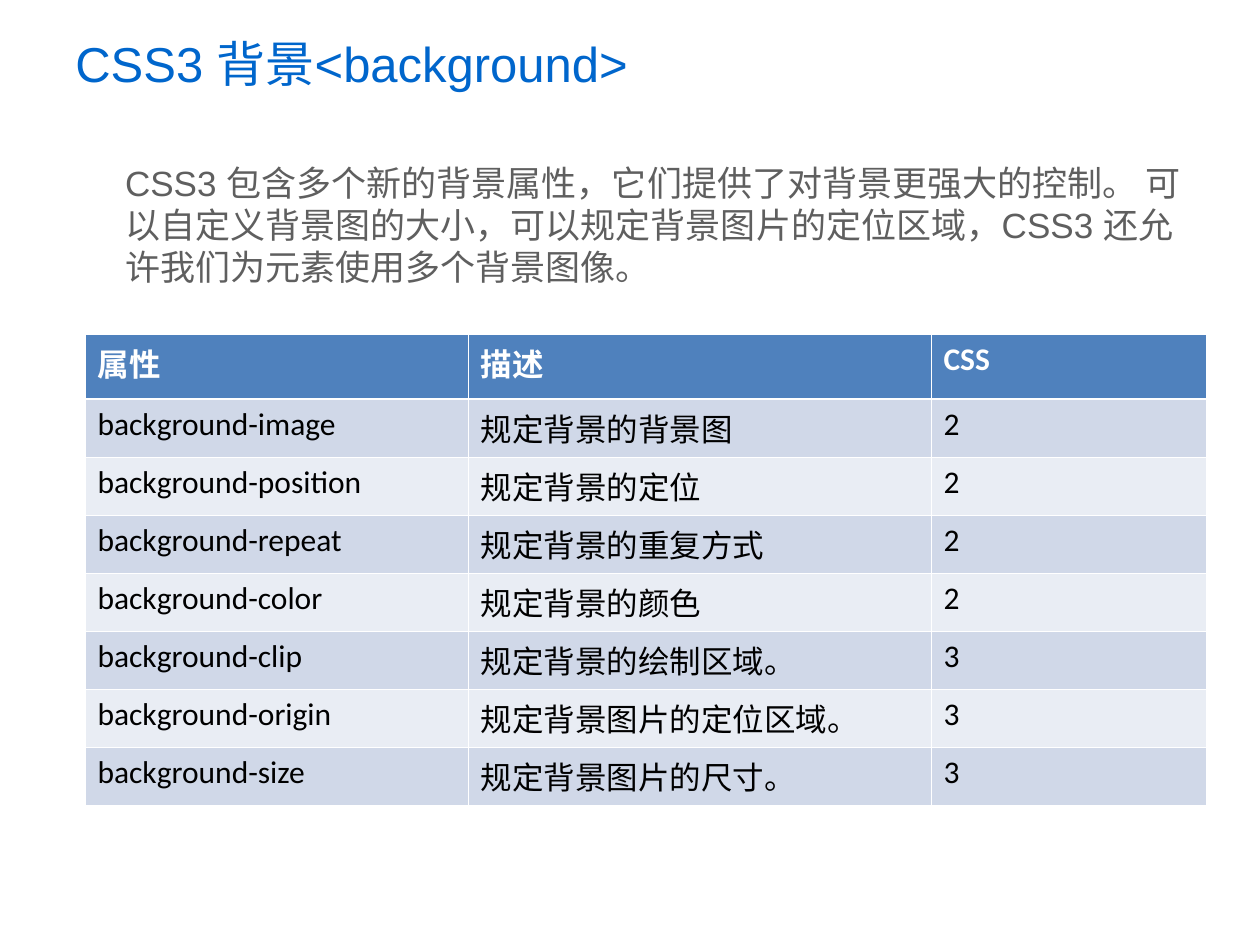
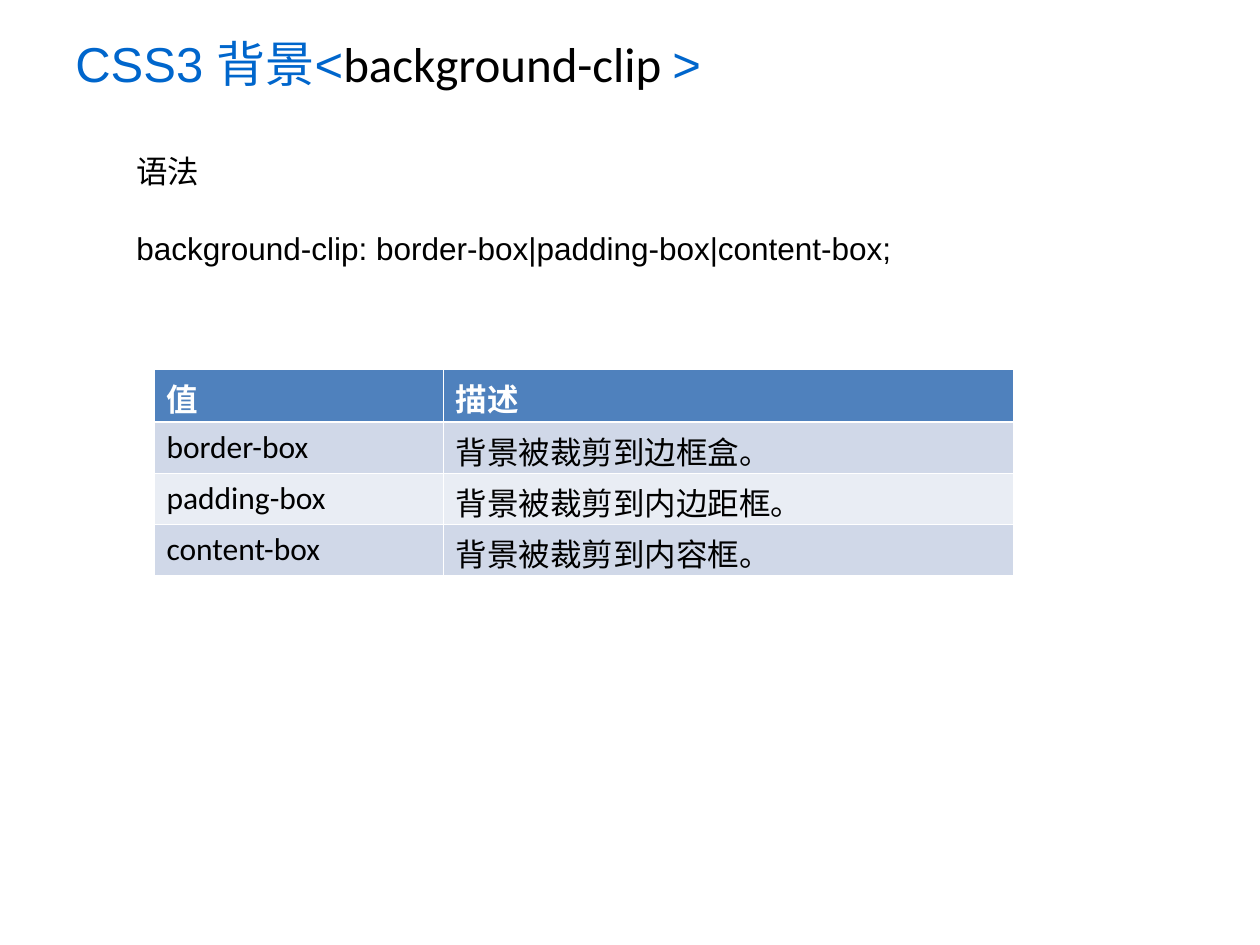
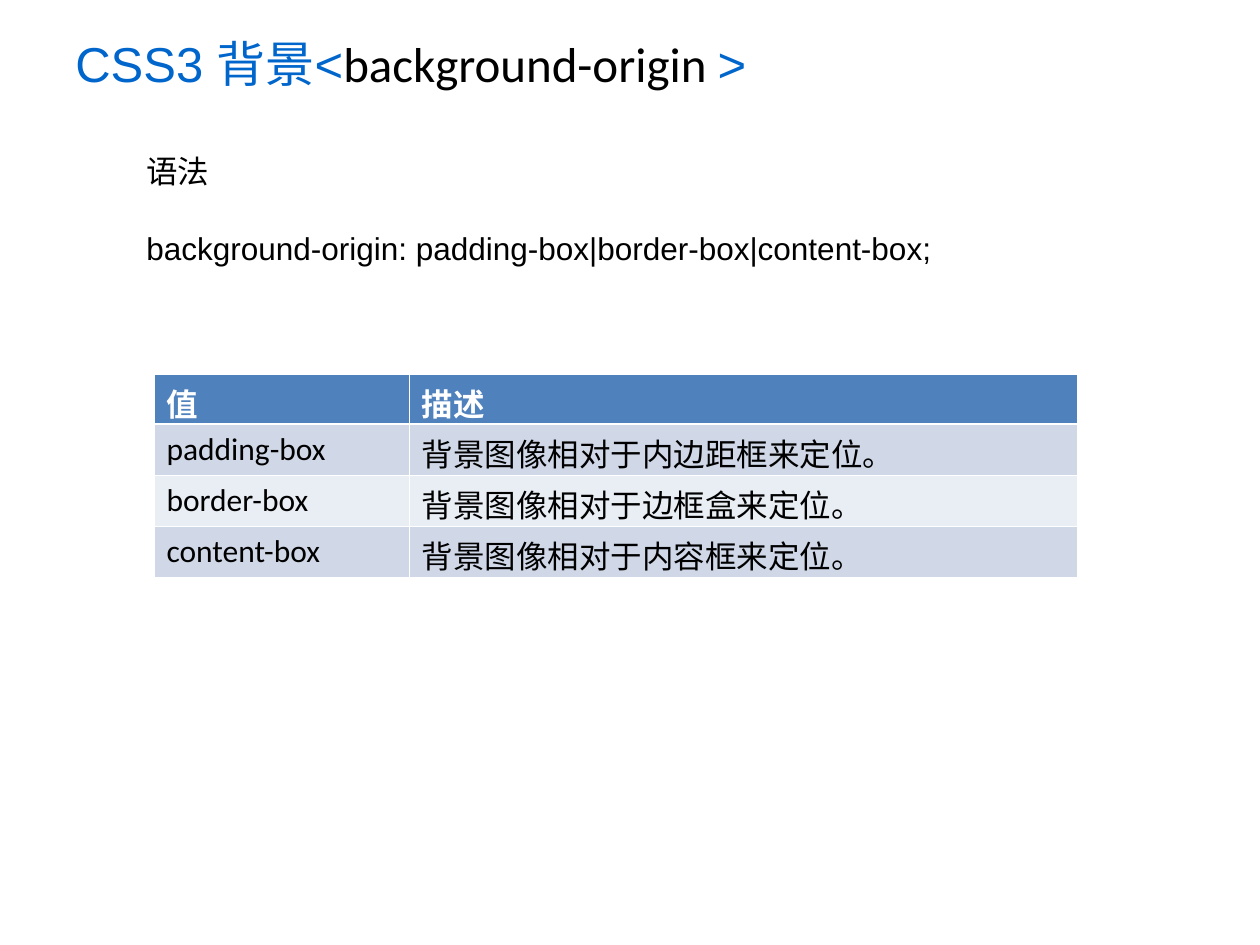
from lxml.etree import SubElement
from pptx import Presentation
from pptx.dml.color import RGBColor
from pptx.enum.text import MSO_ANCHOR as Anchor
from pptx.oxml.ns import qn
from pptx.util import Emu, Pt

PX = 914400 / 126
COLORS = {
    "title": "0066CC",
    "body": "5F5F5F",
    "text": "000000",
    "white": "FFFFFF",
    "header": "4F81BD",
    "odd": "D0D8E8",
    "even": "E9EDF4",
}
THIN, THICK = 0.45, 1.47
SHORT_ROW = 51


def px(length):
    return Emu(round(length * PX))


def add_span(para, text, size, color, font="Arial", bold=False):
    span = para.add_run()
    span.text = text
    span.font.size = Pt(size)
    span.font.name = font
    span.font.bold = bold
    span.font.color.rgb = RGBColor.from_string(COLORS[color])


def add_box(page, left, top, width, height, wrap=True):
    box = page.shapes.add_textbox(px(left), px(top), px(width), px(height))
    frame = box.text_frame
    frame.word_wrap = wrap
    return frame


def add_page(deck, property_name=None):
    page = deck.slides.add_slide(deck.slide_layouts[6])
    frame = add_box(page, 63, 0, 964, 126)
    frame.vertical_anchor = Anchor.MIDDLE
    para = frame.paragraphs[0]
    if property_name:
        add_span(para, "CSS3 背景<", 28, "title")
        add_span(para, property_name + " ", 28, "text", "Calibri")
        add_span(para, ">", 28, "title")
    else:
        add_span(para, "CSS3 背景<background>", 28, "title")
    return page


def add_intro(page, text):
    frame = add_box(page, 64, 155, 1150, 159)
    frame.margin_left = px(61)
    para = frame.paragraphs[0]
    para.line_spacing = Pt(24)
    add_span(para, text, 20, "body")


def add_syntax(page, left, width, code):
    frame = add_box(page, left, 145, width, 126, wrap=False)
    heading, usage = frame.paragraphs[0], frame.add_paragraph()
    usage.space_before = Pt(22)
    for para, text in ((heading, "语法"), (usage, code)):
        para.line_spacing = Pt(22)
        add_span(para, text, 18, "text")


def add_border(cell, side, points):
    line = SubElement(cell._tc.get_or_add_tcPr(), qn("a:ln" + side), w=str(Pt(points)))
    fill = SubElement(line, qn("a:solidFill"))
    SubElement(fill, qn("a:srgbClr"), val=COLORS["white"])


def fill_cell(cell, text, row):
    widths = {
        "L": THIN,
        "R": THIN,
        "T": THICK if row == 1 else THIN,
        "B": THICK if row == 0 else THIN,
    }
    for side, points in widths.items():
        add_border(cell, side, points)
    fill = "header" if row == 0 else "odd" if row % 2 else "even"
    cell.fill.solid()
    cell.fill.fore_color.rgb = RGBColor.from_string(COLORS[fill])
    color = "white" if row == 0 else "text"
    add_span(cell.text_frame.paragraphs[0], text, 18, color, "Calibri", row == 0)


def add_grid(page, left, top, widths, header_height, row_height, rows):
    heights = [header_height] + [row_height] * (len(rows) - 1)
    table = page.shapes.add_table(
        len(rows), len(widths), px(left), px(top), px(sum(widths)), px(sum(heights))
    ).table
    for column, width in zip(table.columns, widths):
        column.width = px(width)
    for index, (height, texts) in enumerate(zip(heights, rows)):
        table.rows[index].height = px(height)
        for column, text in enumerate(texts):
            cell = table.cell(index, column)
            if row_height == SHORT_ROW:
                cell.margin_bottom = 0
            fill_cell(cell, text, index)


def main():
    deck = Presentation()
    deck.slide_width, deck.slide_height = px(1260), px(945)

    page = add_page(deck)
    add_intro(
        page,
        "CSS3 包含多个新的背景属性，它们提供了对背景更强大的控制。 "
        "可以自定义背景图的大小，可以规定背景图片的定位区域，"
        "CSS3 还允许我们为元素使用多个背景图像。",
    )
    add_grid(page, 85, 334, [383, 463, 275], 65, 58, [
        ("属性", "描述", "CSS"),
        ("background-image", "规定背景的背景图", "2"),
        ("background-position", "规定背景的定位", "2"),
        ("background-repeat", "规定背景的重复方式", "2"),
        ("background-color", "规定背景的颜色", "2"),
        ("background-clip", "规定背景的绘制区域。", "3"),
        ("background-origin", "规定背景图片的定位区域。", "3"),
        ("background-size", "规定背景图片的尺寸。", "3"),
    ])

    page = add_page(deck, "background-clip")
    add_syntax(page, 124, 893, "background-clip: border-box|padding-box|content-box;")
    add_grid(page, 154, 369, [289, 570], 53, SHORT_ROW, [
        ("值", "描述"),
        ("border-box", "背景被裁剪到边框盒。"),
        ("padding-box", "背景被裁剪到内边距框。"),
        ("content-box", "背景被裁剪到内容框。"),
    ])

    page = add_page(deck, "background-origin")
    add_syntax(page, 134, 810, "background-origin: padding-box|border-box|content-box;")
    add_grid(page, 154, 374, [255, 668], 50, SHORT_ROW, [
        ("值", "描述"),
        ("padding-box", "背景图像相对于内边距框来定位。"),
        ("border-box", "背景图像相对于边框盒来定位。"),
        ("content-box", "背景图像相对于内容框来定位。"),
    ])

    deck.save("out.pptx")


if __name__ == "__main__":
    main()
